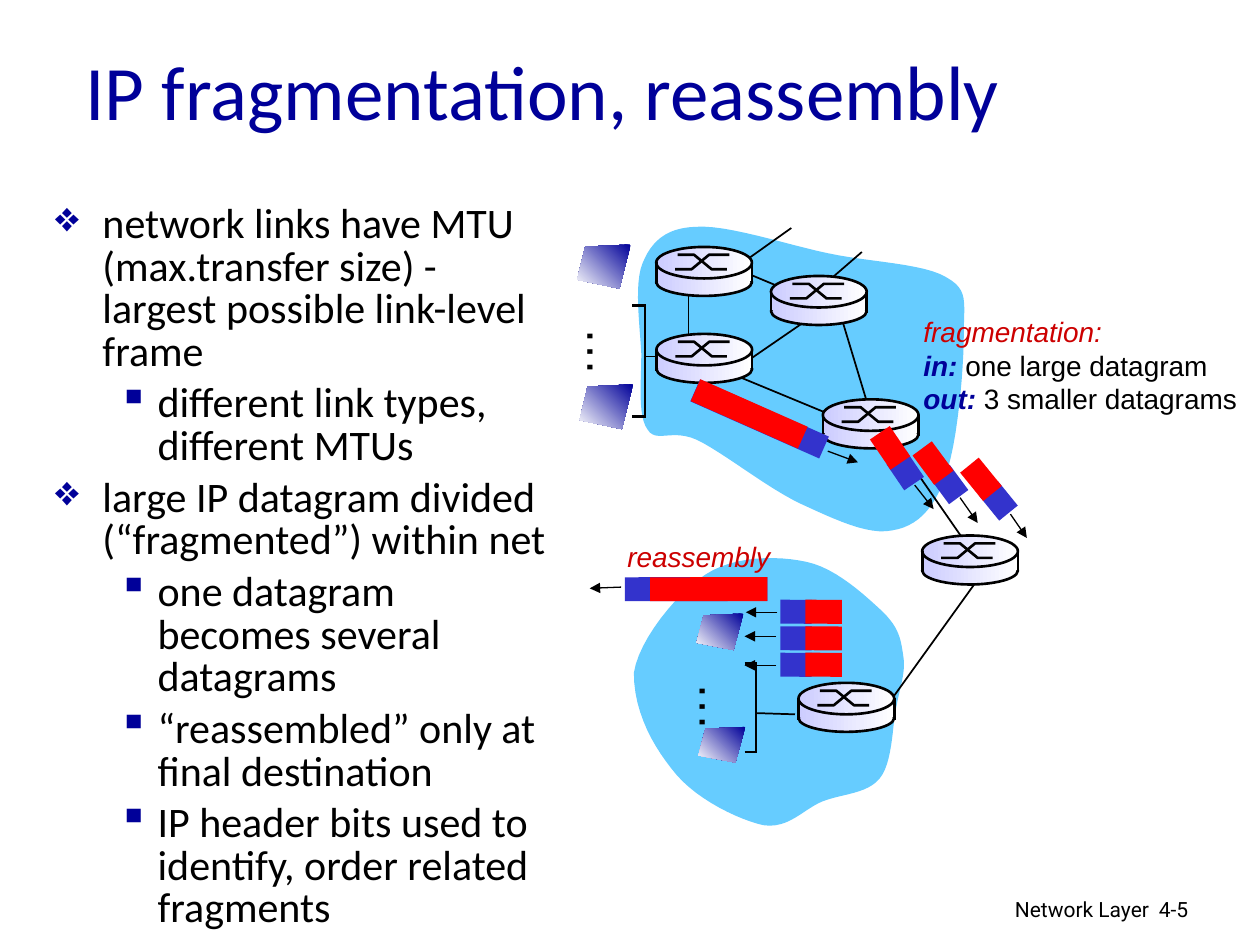
from lxml import etree
from pptx import Presentation
from pptx.dml import color
from pptx.enum import shapes, text
from pptx.oxml import ns
from pptx.util import Pt

THEME = {
    "navy": "000099", "black": "000000", "red": "CC0000", "cloud": "66CCFF",
    "header": "3333CC", "payload": "FF0000", "lilac": "CCCCFF", "white": "FFFFFF",
    "title": 44, "body": 24, "label": 16, "dots": 28, "footer": 12,
    "thin": 0.75, "link": 1, "bold": 1.5,
}
RGB = color.RGBColor.from_string
SHAPE = shapes.MSO_SHAPE

deck = Presentation()
deck.slide_width, deck.slide_height = Pt(720), Pt(540)
slide = deck.slides.add_slide(deck.slide_layouts[6])


def paint(shape, fill=None, edge=None, angle=0):
    """Fill with nothing, one colour or a pair of gradient colours."""
    shape.shadow.inherit = False
    if fill is None:
        shape.fill.background()
    elif isinstance(fill, tuple):
        shape.fill.gradient()
        shape.fill.gradient_angle = angle
        for stop, name in zip(shape.fill.gradient_stops, fill):
            stop.color.rgb = RGB(THEME[name])
    else:
        shape.fill.solid()
        shape.fill.fore_color.rgb = RGB(THEME[fill])
    if edge:
        shape.line.color.rgb = RGB(THEME["black"])
        shape.line.width = Pt(THEME[edge])
    else:
        shape.line.fill.background()


def draw_line(x1, y1, x2, y2, weight="link", arrow=False):
    line = slide.shapes.add_connector(
        shapes.MSO_CONNECTOR.STRAIGHT, Pt(x1), Pt(y1), Pt(x2), Pt(y2))
    line.line.color.rgb = RGB(THEME["black"])
    line.line.width = Pt(THEME[weight])
    properties = line._element.spPr
    if arrow:
        etree.SubElement(properties.find(ns.qn("a:ln")), ns.qn("a:tailEnd"), type="triangle")
    etree.SubElement(properties, ns.qn("a:effectLst"))


# Network clouds: a start point, then Bezier curves (two controls, end)
clouds = [
    [(397.4, 129.6),
     (380.2, 130.3), (372.2, 138.2), (367.2, 150.5), (362.2, 162.7), (365.8, 186.5), (366.5, 202.3),
     (366.5, 218.2), (364.3, 237.6), (370.1, 245.5), (375.1, 253.4), (383.8, 244.8), (398.2, 251.3),
     (413.3, 258.5), (439.2, 279.4), (457.9, 288), (476.6, 296.6), (496.1, 306), (509.8, 303.1),
     (523.4, 301), (533.5, 291.6), (540, 272.9), (547.2, 254.2), (550.8, 210.2), (550.8, 191.5),
     (550.8, 172.1), (553.7, 165.6), (540.7, 158.4), (527.8, 150.5), (496.8, 149.8), (473, 144.7),
     (449.3, 139.7), (415.4, 128.2), (397.4, 129.6)],
    [(362.2, 384.5),
     (365, 365.8), (386.6, 339.1), (403.2, 328.3), (419.8, 317.5), (444.2, 317.5), (460.8, 321.1),
     (478.1, 324.7), (495.4, 341.3), (504.7, 349.9), (514.1, 359.3), (514.8, 365.8), (516.2, 375.1),
     (517.7, 384.5), (514.1, 393.1), (511.9, 405.4), (509.8, 416.9), (509.8, 436.3), (502.6, 445),
     (495.4, 453.6), (481.7, 453.6), (470.2, 457.9), (459.4, 462.2), (450.7, 473.8), (436.3, 471.6),
     (422.6, 468.7), (398.9, 457.2), (386.6, 442.8), (374.4, 428.4), (362.2, 408.2), (362.2, 384.5)],
]
STEPS = 12
for curve in clouds:
    rim = []
    for first in range(0, len(curve) - 1, 3):
        for step in range(1, STEPS + 1):
            t = step / STEPS
            weights = ((1 - t) ** 3, 3 * t * (1 - t) ** 2, 3 * t * t * (1 - t), t ** 3)
            rim.append([Pt(sum(w * point[axis] for w, point in zip(weights, curve[first:first + 4])))
                        for axis in (0, 1)])
    outline = slide.shapes.build_freeform(*rim[-1])
    outline.add_line_segments(rim, close=True)
    paint(outline.convert_to_shape(), "cloud")

# Links between routers
for link in [
    (367.9, 203.8, 378, 203.8), (413.3, 150.5, 465.1, 172.1), (479.5, 177.1, 495.4, 229.7),
    (393.5, 159.1, 393.5, 205.2), (411.8, 211, 488.2, 242.6), (549.4, 306.7, 511.9, 252.7),
    (473.8, 174.2, 414, 215.3), (452.2, 130.3, 414.7, 157), (492.5, 144, 470.9, 162.7),
    (558.7, 331.2, 509, 400.3), (432, 407.5, 454.3, 408.2),
]:
    draw_line(*link)

# Host brackets: left, right, top, bottom
for left, right, top, bottom in [(361.4, 369, 174.6, 238), (425.5, 432.4, 379, 429.8)]:
    draw_line(left, top, right, top, "bold")
    draw_line(left, bottom, right, bottom, "bold")
    draw_line(right - 0.4, top, right - 0.4, bottom)

# Hosts: left, top, width, height
host_corners = [(1, 0), (0.15, 0.05), (0, 0.8), (0.79, 1)]
for x, y, w, h in [(329.8, 139.7, 30.6, 25.2), (331.2, 219.6, 30.6, 25.6),
                   (398, 350.6, 26.8, 20.9), (399.1, 415.4, 26.8, 20.4)]:
    corners = [(Pt(x + w * u), Pt(y + h * v)) for u, v in host_corners]
    outline = slide.shapes.build_freeform(*corners[0])
    outline.add_line_segments(corners[1:], close=True)
    paint(outline.convert_to_shape(), ("navy", "white"), angle=225)

# Routers: a cylinder with crossing paths on top
ROUTER_WIDTH = 54.7
router_parts = [(SHAPE.OVAL, 12.2, 15.8, "bold"), (SHAPE.RECTANGLE, 10.1, 9.4, None),
                (SHAPE.OVAL, 0, 18, "bold")]
router_paths = [[(10.8, 12.8), (20.2, 12.8), (30.2, 4.5), (41.8, 4.5)],
                [(12.2, 4.5), (21.6, 4.5), (31.7, 12.8), (40.3, 12.8)]]
for x, y in [(470.2, 228.2), (375, 141.1), (375.1, 190.8),
             (440.6, 157.7), (527, 306), (456.3, 390.2)]:
    for kind, dy, height, edge in router_parts:
        part = slide.shapes.add_shape(kind, Pt(x), Pt(y + dy), Pt(ROUTER_WIDTH), Pt(height))
        paint(part, ("lilac", "white"), edge)
    for route in router_paths:
        points = [(Pt(x + dx), Pt(y + dy)) for dx, dy in route]
        outline = slide.shapes.build_freeform(*points[0])
        outline.add_line_segments(points[1:], close=False)
        paint(outline.convert_to_shape(), edge="bold")
    for side in (x, x + ROUTER_WIDTH):
        draw_line(side, y + 8.9, side, y + 21, "bold")

# Datagrams: header left, top, width; payload left, top, width; rotation
datagrams = [(393.8, 232.6, 80.6, 394.6, 229.7, 67, 23.9),
             (357.1, 329.8, 81.4, 371.5, 329.8, 67, 179.9),
             (508.3, 262.1, 18, 498.2, 249.1, 20.9, 55.8),
             (533.5, 270, 18, 522.7, 257.8, 20.9, 53.6),
             (561.6, 279.4, 18, 550.1, 267.1, 20.9, 50.9)]
datagrams += [(445.9, y, 18, 460.2, y, 20.9, 180.4) for y in (342.7, 357.9, 373)]
for *spans, rotation in datagrams:
    for name, (x, y, width) in zip(("header", "payload"), (spans[:3], spans[3:])):
        strip = slide.shapes.add_shape(SHAPE.RECTANGLE, Pt(x), Pt(y), Pt(width), Pt(13.7))
        strip.rotation = rotation
        paint(strip, name)

# Directions of travel
for arrow in [
    (473, 257.8, 490.3, 264.2), (355, 335.5, 337, 336.2),
    (444.2, 349.9, 426.2, 349.9), (443.5, 363.6, 425.5, 363.6), (443.5, 380.2, 425.5, 380.2),
    (522.7, 277.2, 533.5, 290.9), (548.6, 284.4, 558.7, 298.8), (577.4, 293.8, 586.8, 307.4),
]:
    draw_line(*arrow, "thin", True)

# Wording: box, rotation, vertical anchor, font, size, paragraphs.
# A paragraph is (format, bullet, runs); a run is (text, colour, font format).
TOP, MIDDLE = text.MSO_ANCHOR.TOP, text.MSO_ANCHOR.MIDDLE
italic, strong, plain = {"italic": True}, {"italic": True, "bold": True}, {}
bullets = {0: ("❖", 27, -27), 1: ("▪", 58.5, -22.5)}
points = [
    (0, "network links have MTU (max.transfer size) - largest possible link-level frame"),
    (1, "different link types, different MTUs"),
    (0, "large IP datagram divided (“fragmented”) within net"),
    (1, "one datagram becomes several datagrams"),
    (1, "“reassembled” only at final destination"),
    (1, "IP header bits used to identify, order related fragments"),
]
body = [({"level": level, "line_spacing": 0.85, "space_before": Pt(4.8 if row else 0)},
         bullets[level], [(words, "black", plain)])
        for row, (level, words) in enumerate(points)]
ellipsis = [({}, None, [("…", "black", plain)])]
fragmentation = [
    ({}, None, [("fragmentation:", "red", italic)]),
    ({}, None, [("in:", "navy", strong), (" one large datagram", "black", plain)]),
    ({}, None, [("out:", "navy", strong), (" 3 smaller datagrams", "black", plain)]),
]
wording = [
    ((41.8, 14.4, 612, 73.4), 0, MIDDLE, "Calibri", "title",
     [({}, None, [("IP fragmentation, reassembly", "navy", plain)])]),
    ((24.5, 113, 300.2, 401), 0, TOP, "Calibri", "body", body),
    ((520.6, 176.4, 198, 64.8), 0, TOP, "Arial", "label", fragmentation),
    ((351.4, 304.6, 100, 26.6), 0, TOP, "Arial", "label",
     [({}, None, [("reassembly", "red", italic)])]),
    ((325.4, 180.7, 42.5, 41), 90, TOP, "Arial", "dots", ellipsis),
    ((389.5, 383.8, 42.5, 41), 90, TOP, "Arial", "dots", ellipsis),
    ((435.6, 509, 228.2, 22.3), 0, TOP, "Roboto", "footer",
     [({"alignment": text.PP_ALIGN.RIGHT}, None, [("Network Layer", "black", plain)])]),
    ((655.2, 509, 53.3, 21.6), 0, TOP, "Roboto", "footer",
     [({}, None, [("4-5", "black", plain)])]),
]
for place, rotation, anchor, face, size, paragraphs in wording:
    box = slide.shapes.add_textbox(*map(Pt, place))
    box.rotation = rotation
    frame = box.text_frame
    frame.word_wrap, frame.vertical_anchor = True, anchor
    for row, (layout, bullet, runs) in enumerate(paragraphs):
        paragraph = frame.add_paragraph() if row else frame.paragraphs[0]
        if bullet:
            mark, margin, indent = bullet
            properties = paragraph._p.get_or_add_pPr()
            properties.set("marL", str(Pt(margin)))
            properties.set("indent", str(Pt(indent)))
            tint = etree.SubElement(properties, ns.qn("a:buClr"))
            etree.SubElement(tint, ns.qn("a:srgbClr"), val=THEME["navy"])
            etree.SubElement(properties, ns.qn("a:buChar"), char=mark)
        for name, value in layout.items():
            setattr(paragraph, name, value)
        for words, ink, style in runs:
            run = paragraph.add_run()
            run.text = words
            for name, value in {"name": face, "size": Pt(THEME[size]), **style}.items():
                setattr(run.font, name, value)
            run.font.color.rgb = RGB(THEME[ink])

deck.save("out.pptx")
